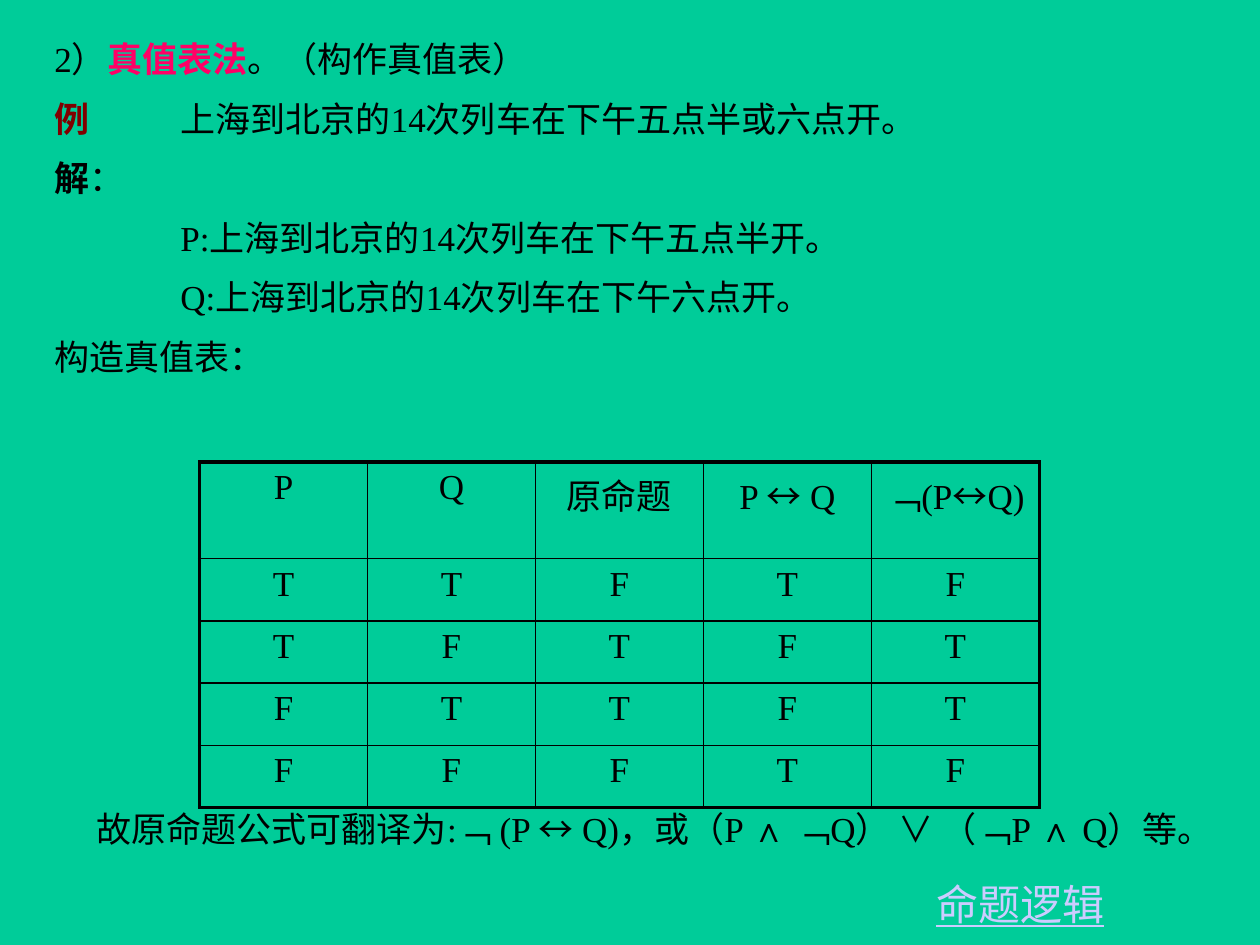
from lxml import etree
from pptx import Presentation
from pptx.dml.color import RGBColor
from pptx.enum.text import MSO_AUTO_SIZE, PP_ALIGN
from pptx.oxml.ns import qn
from pptx.util import Inches, Pt

CENTER = PP_ALIGN.CENTER
GROW = MSO_AUTO_SIZE.SHAPE_TO_FIT_TEXT
COLORS = {"bg": "00CC99", "text": "000000", "key": "FF0066",
          "example": "800000", "link": "CCCCFF"}
LATIN, CJK = "Times New Roman", "Noto Sans CJK SC"


def add_run(p, text, size=20, color="text", bold=False, underline=False, font=LATIN):
    r = p.add_run()
    r.text = text
    r.font.size = Pt(size)
    r.font.name = font
    r.font.bold = bold
    r.font.underline = underline
    r.font.color.rgb = RGBColor.from_string(COLORS[color])
    if font == CJK:
        etree.SubElement(r._r.get_or_add_rPr(), qn("a:ea"), typeface=CJK)


def add_text(left, top, width, height, paragraphs):
    sp = s.shapes.add_textbox(Inches(left), Inches(top), Inches(width), Inches(height))
    tf = sp.text_frame
    tf.word_wrap = True
    tf.auto_size = GROW
    for i, runs in enumerate(paragraphs):
        p = tf.add_paragraph() if i else tf.paragraphs[0]
        if i:
            p.space_before = Pt(10)
        if any("\t" in text for text, fmt in runs):
            tabs = etree.SubElement(p._p.get_or_add_pPr(), qn("a:tabLst"))
            etree.SubElement(tabs, qn("a:tab"), pos=str(Inches(1)), algn="l")
        for text, fmt in runs:
            add_run(p, text, **fmt)


prs = Presentation()
prs.slide_width, prs.slide_height = Inches(10), Inches(7.5)
s = prs.slides.add_slide(prs.slide_layouts[6])
s.background.fill.solid()
s.background.fill.fore_color.rgb = RGBColor.from_string(COLORS["bg"])

# Method, example and propositions
add_text(1 / 3, 0.25, 8.75, 2.93, [
    [("2）", {}), ("真值表法", {"color": "key", "bold": True}), ("。（构作真值表）", {})],
    [("例", {"color": "example", "bold": True}),
     ("\t上海到北京的14次列车在下午五点半或六点开。", {})],
    [("解", {"bold": True}), ("：", {})],
    [("\tP:上海到北京的14次列车在下午五点半开。", {})],
    [("\tQ:上海到北京的14次列车在下午六点开。", {})],
    [("构造真值表：", {})],
])

# Truth table: each cell is a list of (text, font) runs
header = [[("P", LATIN)], [("Q", LATIN)], [("原命题", CJK)],
          [("P ", LATIN), ("↔", CJK), (" Q", LATIN)],
          [("﹁(P", LATIN), ("↔", CJK), ("Q)", LATIN)]]
values = ["TTFTF", "TFTFT", "FTTFT", "FFFTF"]
rows = [header] + [[[(v, LATIN)] for v in line] for line in values]
n_rows, n_cols = len(rows), len(header)
table = s.shapes.add_table(n_rows, n_cols, Inches(19 / 12), Inches(11 / 3),
                           Inches(20 / 3), Inches(2.47)).table
table.first_row = table.horz_banding = False
for i, row in enumerate(rows):
    for j, runs in enumerate(row):
        cell = table.cell(i, j)
        p = cell.text_frame.paragraphs[0]
        p.alignment = CENTER
        for text, font in runs:
            add_run(p, text, font=font)
        # Thick outer frame, thin inner rules
        outer = {"a:lnL": j == 0, "a:lnR": j == n_cols - 1,
                 "a:lnT": i == 0, "a:lnB": i == n_rows - 1}
        tcPr = cell._tc.get_or_add_tcPr()
        for tag, thick in outer.items():
            ln = etree.SubElement(tcPr, qn(tag), w=str(Pt(2.25 if thick else 1)))
            fill = etree.SubElement(ln, qn("a:solidFill"))
            etree.SubElement(fill, qn("a:srgbClr"), val=COLORS["text"])
        cell.fill.background()

# Conclusion
add_text(2 / 3, 6.36, 8.91, 1.27, [
    [("故原命题公式可翻译为:﹁ (P ", {}), ("↔", {"font": CJK}),
     (" Q)，或（P ∧ ﹁Q） ∨ （﹁P ∧ Q）等。", {})],
])

# Chapter label
add_text(22 / 3, 6.92, 1.67, 0.5, [
    [("命题逻辑", {"size": 24, "color": "link", "underline": True})],
])

prs.save("out.pptx")
